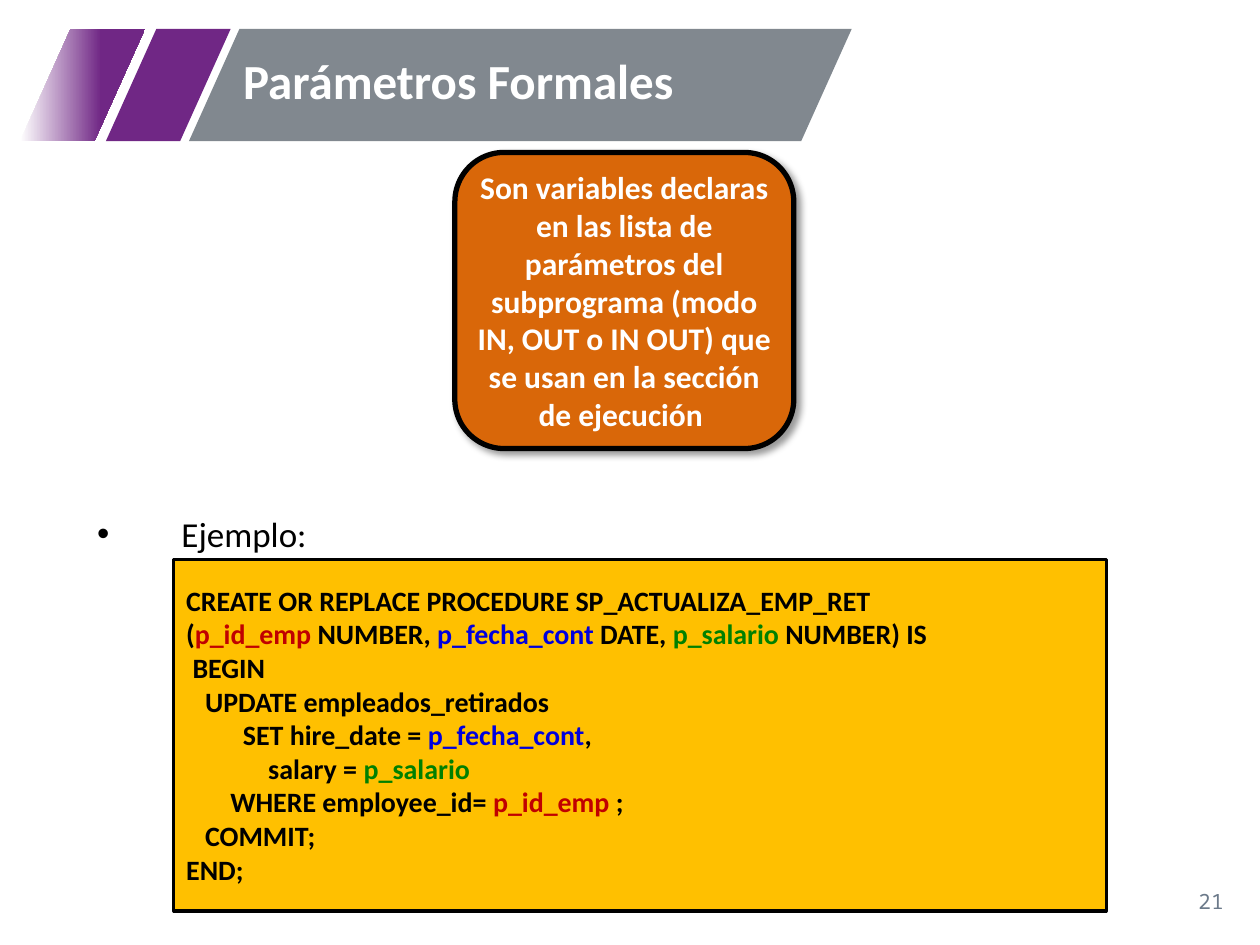
from dataclasses import dataclass

from lxml import etree
from pptx import Presentation
from pptx.dml.color import RGBColor
from pptx.enum import shapes, text
from pptx.oxml import ns
from pptx.util import Inches, Pt


@dataclass(frozen=True)
class Theme:
    font: str = "Calibri"
    number_font: str = "Noto Sans Mono"
    white: str = "FFFFFF"
    black: str = "000000"
    purple: str = "702785"
    gray: str = "81888F"
    orange: str = "D96709"
    amber: str = "FFC000"
    number: str = "6C7A8A"
    red: str = "C00000"
    blue: str = "0000DE"
    green: str = "008000"
    title_size: int = 28
    list_size: int = 20
    definition_size: int = 18
    code_size: int = 16
    number_size: int = 12


THEME = Theme()
PARAMETER_COLORS = {
    "p_id_emp": THEME.red,
    "p_fecha_cont": THEME.blue,
    "p_salario": THEME.green,
}
CODE = (
    "CREATE OR REPLACE PROCEDURE SP_ACTUALIZA_EMP_RET",
    "(|p_id_emp |NUMBER, |p_fecha_cont| DATE, |p_salario| NUMBER) IS",
    " BEGIN",
    "   UPDATE empleados_retirados",
    "         SET hire_date = |p_fecha_cont|,",
    "             salary = |p_salario",
    "       WHERE employee_id= |p_id_emp |;",
    "   COMMIT;",
    "END;",
)
DEFINITION = (
    "Son variables declaras en las lista de parámetros del subprograma "
    "(modo IN, OUT o IN OUT) que se usan en la sección de ejecución "
)


def rgb(color):
    return RGBColor.from_string(color)


def add_run(paragraph, words, size, color, bold=False, font=THEME.font):
    run = paragraph.add_run()
    run.text = words
    run.font.name = font
    run.font.size = Pt(size)
    run.font.bold = bold
    run.font.color.rgb = rgb(color)


def place(item, left, top, width, height):
    item.left, item.top = Inches(left), Inches(top)
    item.width, item.height = Inches(width), Inches(height)


def add_panel(slide, preset, box, fill, line_width=None):
    panel = slide.shapes.add_shape(preset, *map(Inches, box))
    panel.shadow.inherit = False
    panel.fill.solid()
    panel.fill.fore_color.rgb = rgb(fill)
    if line_width:
        panel.line.color.rgb = rgb(THEME.black)
        panel.line.width = Pt(line_width)
    else:
        panel.line.fill.background()
    return panel


def add_banner(slide):
    def slanted(left, width, color):
        band = add_panel(slide, shapes.MSO_SHAPE.PARALLELOGRAM,
                         (left, 0.23, width, 0.89), color)
        band.adjustments[0] = 0.45
        return band

    slanted(0.84, 0.99, THEME.purple)
    fading = slanted(0.16, 0.99, THEME.purple)
    fading.fill.gradient()
    fading.fill.gradient_angle = 0
    stops = ((0, THEME.white), (0.65, THEME.purple))
    for stop, (position, color) in zip(fading.fill.gradient_stops, stops):
        stop.position = position
        stop.color.rgb = rgb(color)
    slanted(1.5, 5.26, THEME.gray)


def fill_placeholder(slide, placeholder, box, anchor):
    place(placeholder, *box)
    slide.shapes._spTree.append(placeholder._element)
    frame = placeholder.text_frame
    frame.auto_size = text.MSO_AUTO_SIZE.NONE
    frame.word_wrap = True
    frame.vertical_anchor = anchor
    paragraph = frame.paragraphs[0]
    paragraph.line_spacing = 0.8
    paragraph.space_before = Pt(0)
    return paragraph


def add_title(slide, words):
    paragraph = fill_placeholder(slide, slide.shapes.title,
                                 (1.83, 0.23, 4.69, 0.89), text.MSO_ANCHOR.MIDDLE)
    paragraph.alignment = text.PP_ALIGN.LEFT
    add_run(paragraph, words, THEME.title_size, THEME.white, bold=True)


def add_bullet(slide, words):
    paragraph = fill_placeholder(slide, slide.placeholders[1],
                                 (0.67, 4.08, 8.58, 0.45), text.MSO_ANCHOR.TOP)
    paragraph.alignment = text.PP_ALIGN.JUSTIFY
    properties = paragraph._p.get_or_add_pPr()
    properties.set("marL", str(Inches(0.67)))
    properties.set("indent", str(Inches(-0.67)))
    etree.SubElement(properties, ns.qn("a:buChar"), char="•")
    add_run(paragraph, words, THEME.list_size, THEME.black)


def add_drop_shadow(panel):
    effects = panel._element.spPr.find(ns.qn("a:effectLst"))
    shadow = etree.SubElement(effects, ns.qn("a:outerShdw"), blurRad=str(Pt(4)),
                              dist=str(Pt(3)), dir=str(45 * 60000),
                              algn="tl", rotWithShape="0")
    color = etree.SubElement(shadow, ns.qn("a:srgbClr"), val=THEME.black)
    etree.SubElement(color, ns.qn("a:alpha"), val="40000")


def add_definition(slide, words):
    card = add_panel(slide, shapes.MSO_SHAPE.ROUNDED_RECTANGLE,
                     (3.61, 1.21, 2.69, 2.35), THEME.orange, 3)
    add_drop_shadow(card)
    frame = card.text_frame
    frame.word_wrap = True
    frame.vertical_anchor = text.MSO_ANCHOR.MIDDLE
    frame.margin_left = frame.margin_right = 0
    frame.margin_top = frame.margin_bottom = 0
    paragraph = frame.paragraphs[0]
    paragraph.alignment = text.PP_ALIGN.CENTER
    add_run(paragraph, words, THEME.definition_size, THEME.white, bold=True)


def add_code(slide, lines):
    listing = add_panel(slide, shapes.MSO_SHAPE.RECTANGLE,
                        (1.38, 4.44, 7.4, 2.79), THEME.amber, 1.75)
    frame = listing.text_frame
    frame.word_wrap = True
    frame.vertical_anchor = text.MSO_ANCHOR.TOP
    frame.margin_top = Inches(0.19)
    for index, line in enumerate(lines):
        paragraph = frame.add_paragraph() if index else frame.paragraphs[0]
        paragraph.alignment = text.PP_ALIGN.LEFT
        for part in line.split("|"):
            color = PARAMETER_COLORS.get(part.strip(), THEME.black)
            add_run(paragraph, part, THEME.code_size, color, bold=True)


def add_page_number(slide, number):
    box = slide.shapes.add_textbox(*map(Inches, (7.56, 6.95, 2.25, 0.4)))
    frame = box.text_frame
    frame.word_wrap = True
    frame.vertical_anchor = text.MSO_ANCHOR.MIDDLE
    paragraph = frame.paragraphs[0]
    paragraph.alignment = text.PP_ALIGN.RIGHT
    add_run(paragraph, number, THEME.number_size, THEME.number,
            font=THEME.number_font)


def main():
    deck = Presentation()
    deck.slide_width, deck.slide_height = Inches(10), Inches(7.5)
    slide = deck.slides.add_slide(deck.slide_layouts[1])
    add_banner(slide)
    add_page_number(slide, "21")
    add_title(slide, "Parámetros Formales")
    add_bullet(slide, "Ejemplo:")
    add_definition(slide, DEFINITION)
    add_code(slide, CODE)
    deck.save("out.pptx")


if __name__ == "__main__":
    main()
